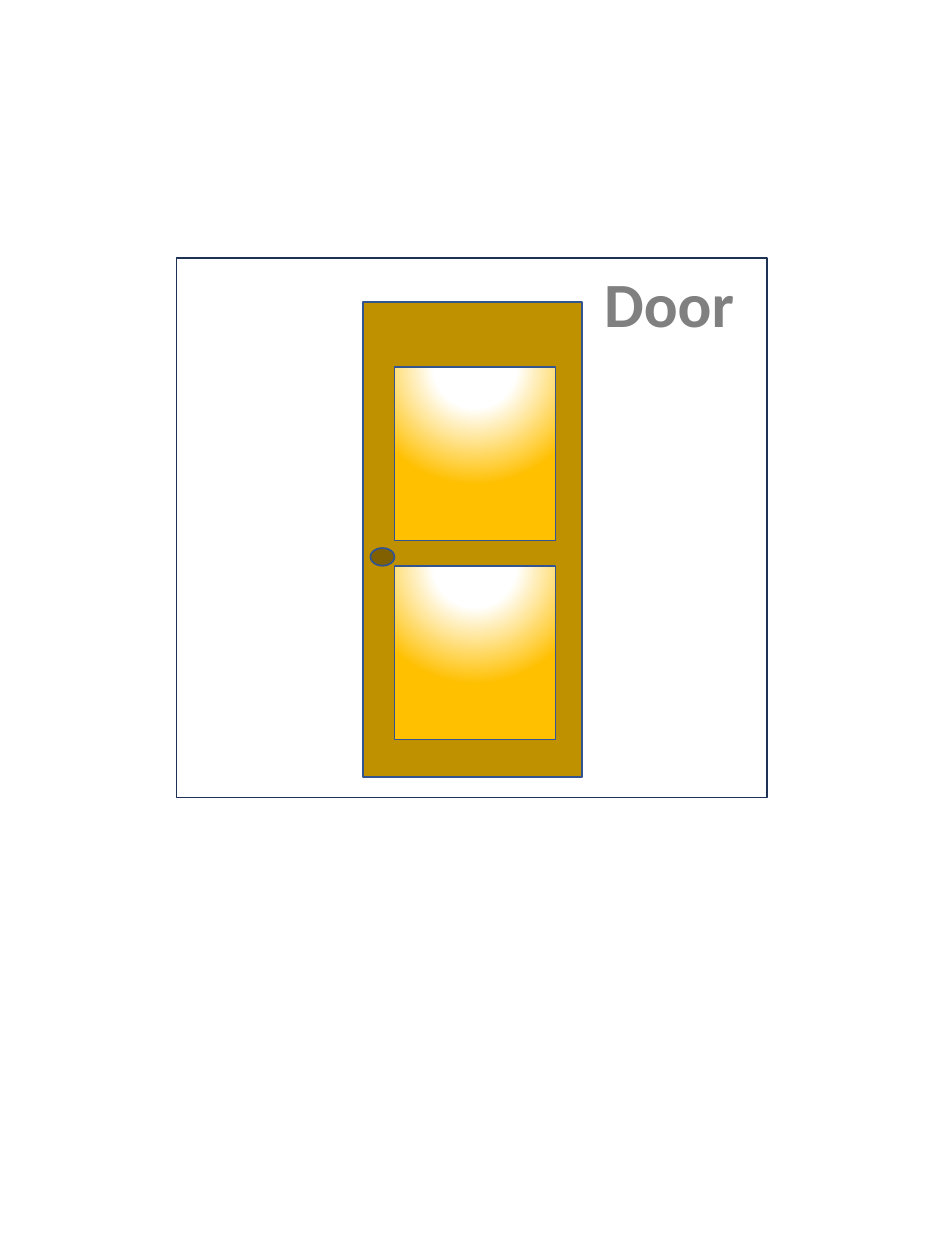
import dataclasses

import pptx
import pptx.dml.color
import pptx.enum.shapes
import pptx.enum.text
import pptx.oxml
import pptx.oxml.ns
import pptx.util

Inches = pptx.util.Inches
Kind = pptx.enum.shapes.MSO_SHAPE


@dataclasses.dataclass(frozen=True)
class Theme:
    font: str = "Calibri"
    size: int = 36
    text: str = "808080"
    wood: str = "BF9000"
    knob: str = "806000"
    edge: str = "325491"
    frame: str = "1E3256"
    glow: tuple = ((0, "FFFFFF"), (35, "FFFFFF"), (100, "FFC000"))


THEME = Theme()


def color(code):
    return pptx.dml.color.RGBColor.from_string(code)


def write(shape, text, *, size, ink, bold=False):
    """Put one centred, unwrapped line of text into a shape."""
    frame = shape.text_frame
    frame.text = text
    frame.word_wrap = False
    frame.auto_size = pptx.enum.text.MSO_AUTO_SIZE.SHAPE_TO_FIT_TEXT
    frame.vertical_anchor = pptx.enum.text.MSO_ANCHOR.TOP
    line = frame.paragraphs[0]
    line.alignment = pptx.enum.text.PP_ALIGN.CENTER
    font = line.runs[0].font
    font.name, font.size, font.bold = THEME.font, pptx.util.Pt(size), bold
    font.color.rgb = color(ink)


def draw(shapes, kind, box, *, fill=None, edge=THEME.edge):
    """Add an outlined shape; without a fill colour it stays open."""
    shape = shapes.add_shape(kind, *map(Inches, box))
    shape.shadow.inherit = False
    if fill:
        shape.fill.solid()
        shape.fill.fore_color.rgb = color(fill)
    else:
        shape.fill.background()
    shape.line.color.rgb = color(edge)
    shape.line.width = pptx.util.Pt(1)
    return shape


def shine(shape):
    """Fill a pane with a round glow centred above its top edge."""
    stops = "".join(
        f'<a:gs pos="{pos * 1000}"><a:srgbClr val="{code}"/></a:gs>'
        for pos, code in THEME.glow
    )
    glow = pptx.oxml.parse_xml(
        f'<a:gradFill {pptx.oxml.ns.nsdecls("a")} rotWithShape="1">'
        f"<a:gsLst>{stops}</a:gsLst>"
        '<a:path path="circle"><a:fillToRect l="50000" t="-80000" '
        'r="50000" b="180000"/></a:path></a:gradFill>'
    )
    props = shape.element.spPr
    props.replace(props.find(pptx.oxml.ns.qn("a:noFill")), glow)


def label(slide, box):
    title = slide.shapes.title
    title.left, title.top, title.width, title.height = map(Inches, box)
    write(title, "Door", size=THEME.size, ink=THEME.text, bold=True)


def door(slide, box):
    left, top, _, _ = box
    parts = slide.shapes.add_group_shape().shapes
    draw(parts, Kind.RECTANGLE, box, fill=THEME.wood)
    # Two equal panes, one above the other
    for row in range(2):
        pane = (left + 0.25, top + 0.51 + row * 1.58, 1.28, 1.38)
        shine(draw(parts, Kind.RECTANGLE, pane))
    # Knob
    draw(parts, Kind.OVAL, (left + 0.06, top + 1.95, 0.19, 0.14), fill=THEME.knob)


def main():
    deck = pptx.Presentation()
    deck.slide_width, deck.slide_height = Inches(7.5), Inches(10)
    slide = deck.slides.add_slide(deck.slide_layouts.get_by_name("Title Only"))
    card = (1.4, 2.05, 4.69, 4.28)
    left, top, _, _ = card
    label(slide, (left + 3.29, top, 1.24, 0.71))
    door(slide, (left + 1.48, top + 0.35, 1.74, 3.77))
    # Frame around the card
    draw(slide.shapes, Kind.RECTANGLE, card, edge=THEME.frame)
    deck.save("out.pptx")


if __name__ == "__main__":
    main()
